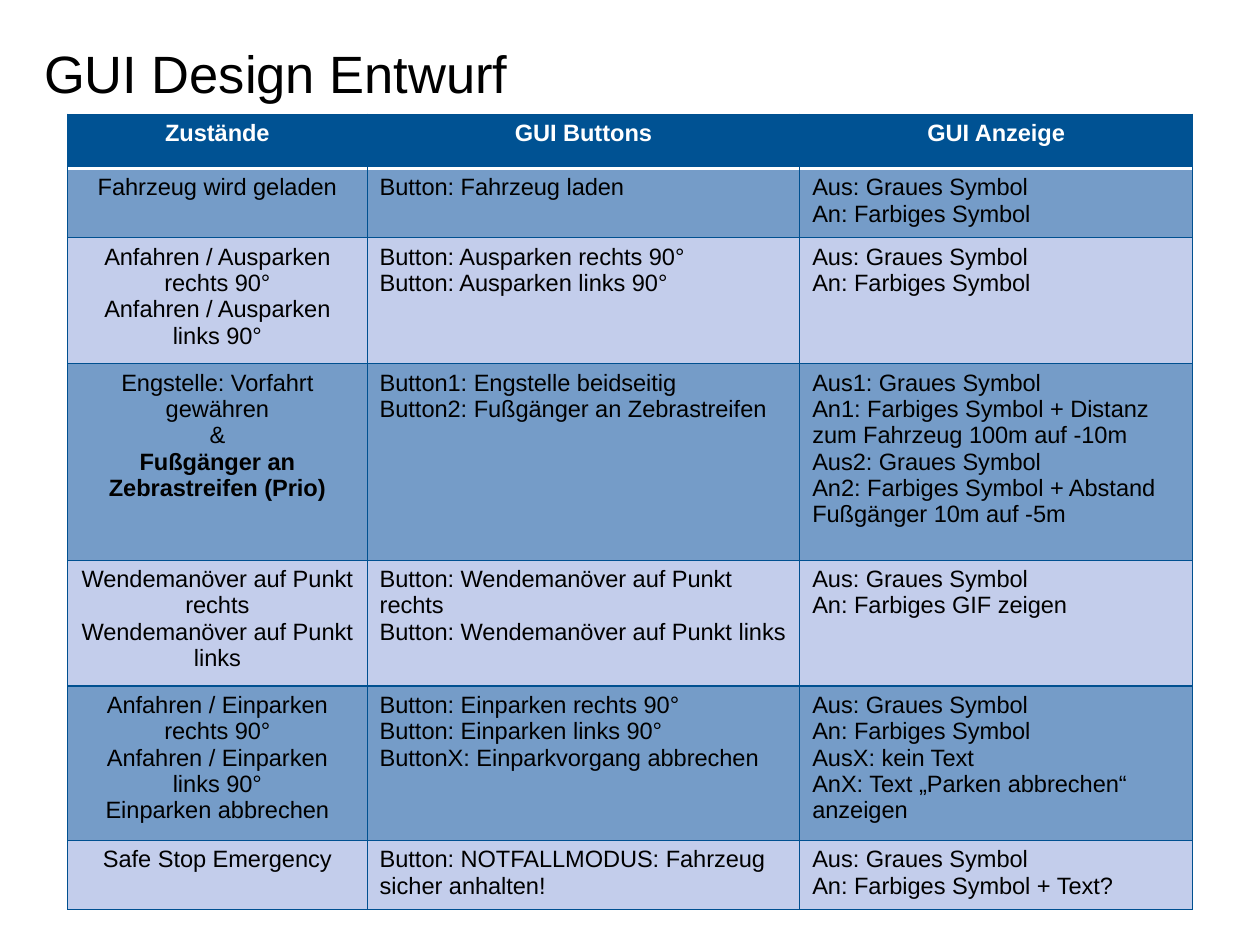
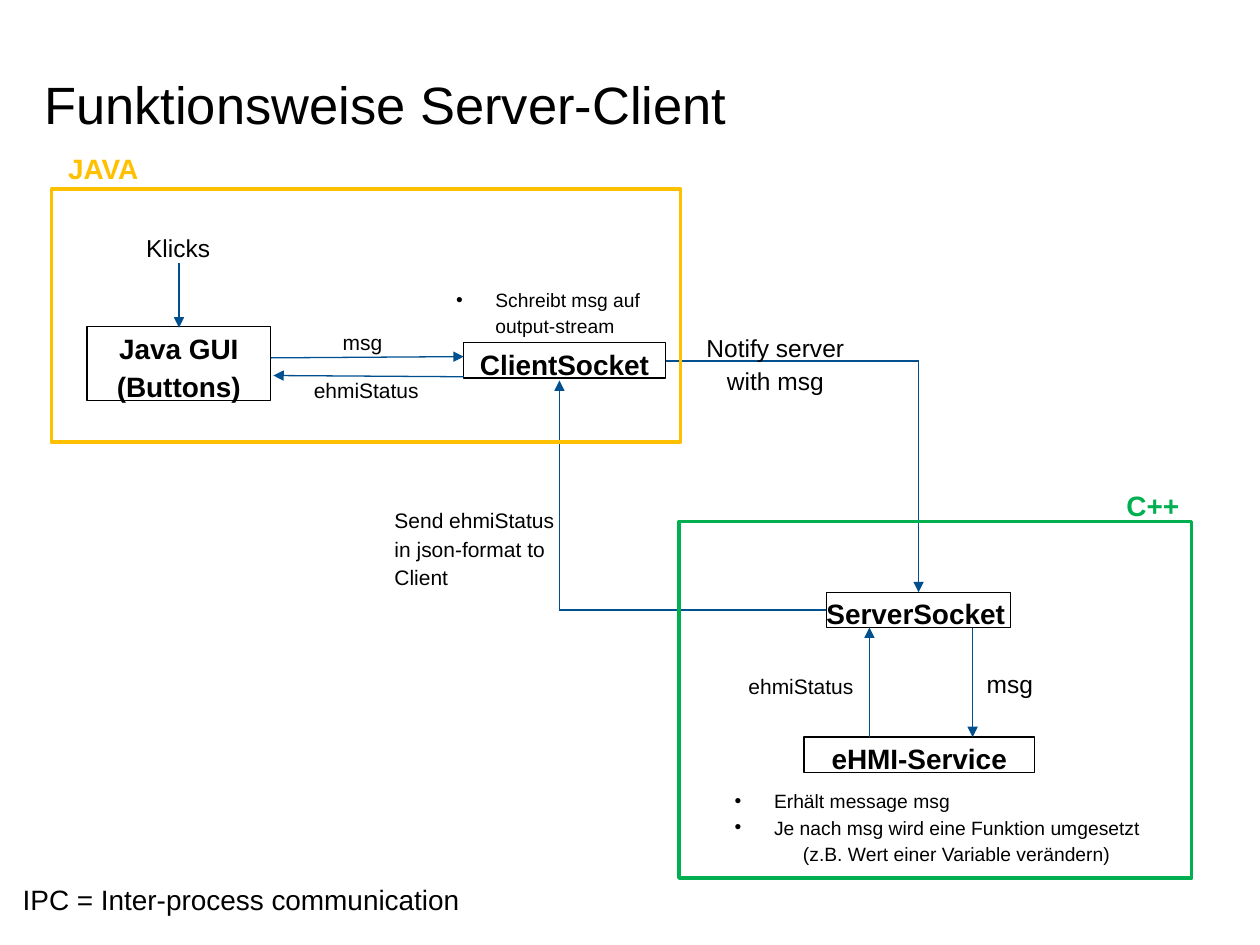
import lxml.etree
import pptx
import pptx.dml.color
import pptx.enum.shapes
import pptx.enum.text
import pptx.oxml
import pptx.oxml.ns
import pptx.util

Pt = pptx.util.Pt
ALIGN = pptx.enum.text.PP_ALIGN
qn = pptx.oxml.ns.qn

COLORS = {
    "text": "000000",
    "white": "FFFFFF",
    "line": "005090",
    "header": "005293",
    "band_dark": "759CC8",
    "band_light": "C3CDEB",
    "java": "FFC000",
    "cpp": "00B050",
}
FONT = "Arial"
LINE_SPACING = 1.14
THIN, THICK = 0.75, 2

STATE_HEADER = ["Zustände", "GUI Buttons", "GUI Anzeige"]
STATE_COLUMNS = [171.2, 247.2, 224.6]
SYMBOL = "Aus: Graues Symbol\nAn: Farbiges Symbol"
STATE_ROWS = [
    ("Fahrzeug wird geladen", "Button: Fahrzeug laden", SYMBOL),
    ("Anfahren / Ausparken rechts 90°\nAnfahren / Ausparken links 90°",
     "Button: Ausparken rechts 90°\nButton: Ausparken links 90°", SYMBOL),
    ("Engstelle: Vorfahrt gewähren\n&\nFußgänger an Zebrastreifen (Prio)",
     "Button1: Engstelle beidseitig\nButton2: Fußgänger an Zebrastreifen",
     "Aus1: Graues Symbol\n"
     "An1: Farbiges Symbol + Distanz zum Fahrzeug 100m auf -10m\n"
     "Aus2: Graues Symbol\n"
     "An2: Farbiges Symbol + Abstand Fußgänger 10m auf -5m"),
    ("Wendemanöver auf Punkt rechts\nWendemanöver auf Punkt links",
     "Button: Wendemanöver auf Punkt rechts\nButton: Wendemanöver auf Punkt links",
     "Aus: Graues Symbol\nAn: Farbiges GIF zeigen"),
    ("Anfahren / Einparken rechts 90°\nAnfahren / Einparken links 90°\nEinparken abbrechen",
     "Button: Einparken rechts 90°\nButton: Einparken links 90°\n"
     "ButtonX: Einparkvorgang abbrechen",
     SYMBOL + "\nAusX: kein Text\nAnX: Text „Parken abbrechen“ anzeigen"),
    ("Safe Stop Emergency", "Button: NOTFALLMODUS: Fahrzeug sicher anhalten!",
     "Aus: Graues Symbol\nAn: Farbiges Symbol + Text?"),
]
STATE_HEIGHTS = [30.9, 37.4, 67.4, 112.3, 67.6, 82.1, 37.6]


def rgb(name):
    return pptx.dml.color.RGBColor.from_string(COLORS[name])


def format_para(para, size, color="text", bold=False, align=ALIGN.LEFT):
    para.alignment = align
    for span in para.runs:
        span.font.name = FONT
        span.font.size = Pt(size)
        span.font.bold = bold
        span.font.color.rgb = rgb(color)


def write(frame, text, size, color="text", bold=False, align=ALIGN.LEFT, spacing=LINE_SPACING):
    frame.margin_left = frame.margin_top = frame.margin_right = frame.margin_bottom = 0
    frame.word_wrap = True
    frame.vertical_anchor = pptx.enum.text.MSO_ANCHOR.TOP
    frame.text = text
    for para in frame.paragraphs:
        para.line_spacing = spacing
        format_para(para, size, color, bold, align)


def indent(para, margin, bullet=False):
    properties = para._p.get_or_add_pPr()
    properties.set("marL", str(Pt(margin)))
    properties.set("indent", str(-Pt(margin) if bullet else 0))
    if bullet:
        lxml.etree.SubElement(properties, qn("a:buFont")).set("typeface", FONT)
        lxml.etree.SubElement(properties, qn("a:buChar")).set("char", "•")


class Region:
    """Draws on a page with all positions relative to the corner of a box."""

    def __init__(self, page, left=0, top=0):
        self.shapes, self.left, self.top = page.shapes, left, top

    def place(self, x, y):
        return Pt(self.left + x), Pt(self.top + y)

    def label(self, text, x, y, width, height, size, **style):
        box = self.shapes.add_textbox(*self.place(x, y), Pt(width), Pt(height))
        write(box.text_frame, text, size, **style)
        return box.text_frame

    def bullets(self, text, x, y, width, height):
        frame = self.label(text, x, y, width, height, 11)
        for para in frame.paragraphs:
            indent(para, 22.5, bullet=True)
        return frame

    def outline(self, x, y, width, height, color="text", weight=THIN):
        box = self.shapes.add_shape(pptx.enum.shapes.MSO_SHAPE.RECTANGLE,
                                    *self.place(x, y), Pt(width), Pt(height))
        box.shadow.inherit = False
        box.fill.background()
        box.line.color.rgb = rgb(color)
        box.line.width = Pt(weight)
        return box

    def node(self, text, x, y, width, height=20.2, align=ALIGN.CENTER):
        box = self.outline(x, y, width, height)
        write(box.text_frame, text, 16, bold=True, align=align)

    def line(self, start, end, arrow=True):
        connector = self.shapes.add_connector(pptx.enum.shapes.MSO_CONNECTOR.STRAIGHT,
                                              *self.place(*start), *self.place(*end))
        connector.line.color.rgb = rgb("line")
        connector.line.width = Pt(THIN)
        properties = connector._element.spPr
        if arrow:
            head = lxml.etree.SubElement(properties.find(qn("a:ln")), qn("a:tailEnd"))
            head.set("type", "triangle")
        lxml.etree.SubElement(properties, qn("a:effectLst"))


def add_page(deck, title, top):
    page = deck.slides.add_slide(deck.slide_layouts[6])
    Region(page, 25.2, top).label(title, 0, 0, 670.3, 32.4, 30, spacing=Pt(32))
    return page


def border_cell(cell, **sides):
    """Set borders; each side (L, R, T, B) gets a colour name and a weight."""
    properties = cell._tc.get_or_add_tcPr()
    for index, side in enumerate("LRTB"):
        color, weight = sides.get(side, ("line", THIN))
        edge = lxml.etree.Element(qn("a:ln" + side), w=str(Pt(weight)))
        fill = lxml.etree.SubElement(edge, qn("a:solidFill"))
        lxml.etree.SubElement(fill, qn("a:srgbClr")).set("val", COLORS[color])
        properties.insert(index, edge)


def state_table(page, left, top):
    rows = [STATE_HEADER] + STATE_ROWS
    table = page.shapes.add_table(len(rows), len(STATE_COLUMNS), Pt(left), Pt(top),
                                  Pt(sum(STATE_COLUMNS)), Pt(sum(STATE_HEIGHTS))).table
    table.horz_banding = False
    for column, width in zip(table.columns, STATE_COLUMNS):
        column.width = Pt(width)
    for row, height in zip(table.rows, STATE_HEIGHTS):
        row.height = Pt(height)
    rule = ("white", THICK)
    for r, texts in enumerate(rows):
        header = r == 0
        band = "header" if header else "band_dark" if r % 2 else "band_light"
        for c, text in enumerate(texts):
            cell = table.cell(r, c)
            cell.text_frame.text = text
            for para in cell.text_frame.paragraphs:
                format_para(para, 13.5, "white" if header else "text",
                            header or "(Prio)" in para.text,
                            ALIGN.CENTER if header or c == 0 else ALIGN.LEFT)
            cell.fill.solid()
            cell.fill.fore_color.rgb = rgb(band)
            if header:
                border_cell(cell, B=rule, **{side: ("header", THIN) for side in "LR"})
            elif r == 1:
                border_cell(cell, T=rule)
            else:
                border_cell(cell)


def java_region(page, left, top, width, height):
    area = Region(page, left, top)
    area.node("Java GUI\n(Buttons)", 20.2, 78.5, 105, 42.5)
    area.node("ClientSocket", 235.5, 87.8, 115.2)
    area.line((72.8, 42.5), (72.8, 79.2))
    area.label("Klicks", 54, 23, 44.6, 18, 14)
    area.line((125.3, 96.5), (235.5, 95.8))
    area.label("msg", 166.3, 78.5, 36, 15, 12)
    area.line((235.5, 107.3), (126.7, 106.6))
    area.label("ehmiStatus", 149.8, 105.8, 85.7, 15, 12)
    area.bullets("Schreibt msg auf output-stream", 231.1, 54.7, 129, 28.8)
    area.outline(0, 0, width, height, "java", THICK)
    area.label("JAVA", 9.4, -23.8, 44.6, 20.2, 16, color="java", bold=True)


def cpp_region(page, left, top, width, height):
    area = Region(page, left, top)
    area.node("ServerSocket", 84.3, 40.4, 105, align=ALIGN.LEFT)
    area.node("eHMI-Service", 71.4, 123.2, 131.8)
    area.line((108.8, 123.2), (108.8, 60.6))
    area.label("ehmiStatus", 39.7, 85, 85.7, 15, 12)
    area.line((167.8, 60.6), (167.8, 123.2))
    area.label("msg", 175.8, 82.2, 36, 18, 14)
    frame = area.bullets("Erhält message msg\nJe nach msg wird eine Funktion umgesetzt",
                         31.8, 151.3, 247, 44.6)
    example = frame.add_paragraph()
    example.text = " (z.B. Wert einer Variable verändern)"
    example.level = 1
    example.line_spacing = LINE_SPACING
    format_para(example, 11)
    indent(example, 36)
    area.outline(0, 0, width, height, "cpp", THICK)
    area.label("C++", 255.7, -21.5, 35.3, 20.2, 16, color="cpp", bold=True)


def socket_links(page):
    """Connect the two socket nodes across the regions."""
    area = Region(page)
    area.line((380.2, 206.3), (524.9, 206.3), arrow=False)
    area.line((524.9, 206.3), (524.9, 338.4))
    area.label("Notify server\nwith msg", 388, 187.9, 110.2, 36.7, 14, align=ALIGN.CENTER)
    area.line((472.3, 348.5), (319.7, 348.5), arrow=False)
    area.line((319.7, 348.5), (319.7, 217.4))
    area.label("Send ehmiStatus\nin json-format to Client", 225.4, 288, 97.2, 48.2, 12)


def main():
    deck = pptx.Presentation()
    deck.slide_width, deck.slide_height = Pt(720), Pt(540)

    page = add_page(deck, "GUI Design Entwurf", 27.4)
    state_table(page, 38.6, 65.3)

    page = add_page(deck, "Funktionsweise Server-Client", 45.4)
    socket_links(page)
    java_region(page, 29.5, 108, 359.3, 144.7)
    cpp_region(page, 388, 298, 293, 203.8)
    Region(page).label("IPC = Inter-process communication", 13, 501.8, 268.6, 20.2, 16)

    deck.save("out.pptx")


if __name__ == "__main__":
    main()
